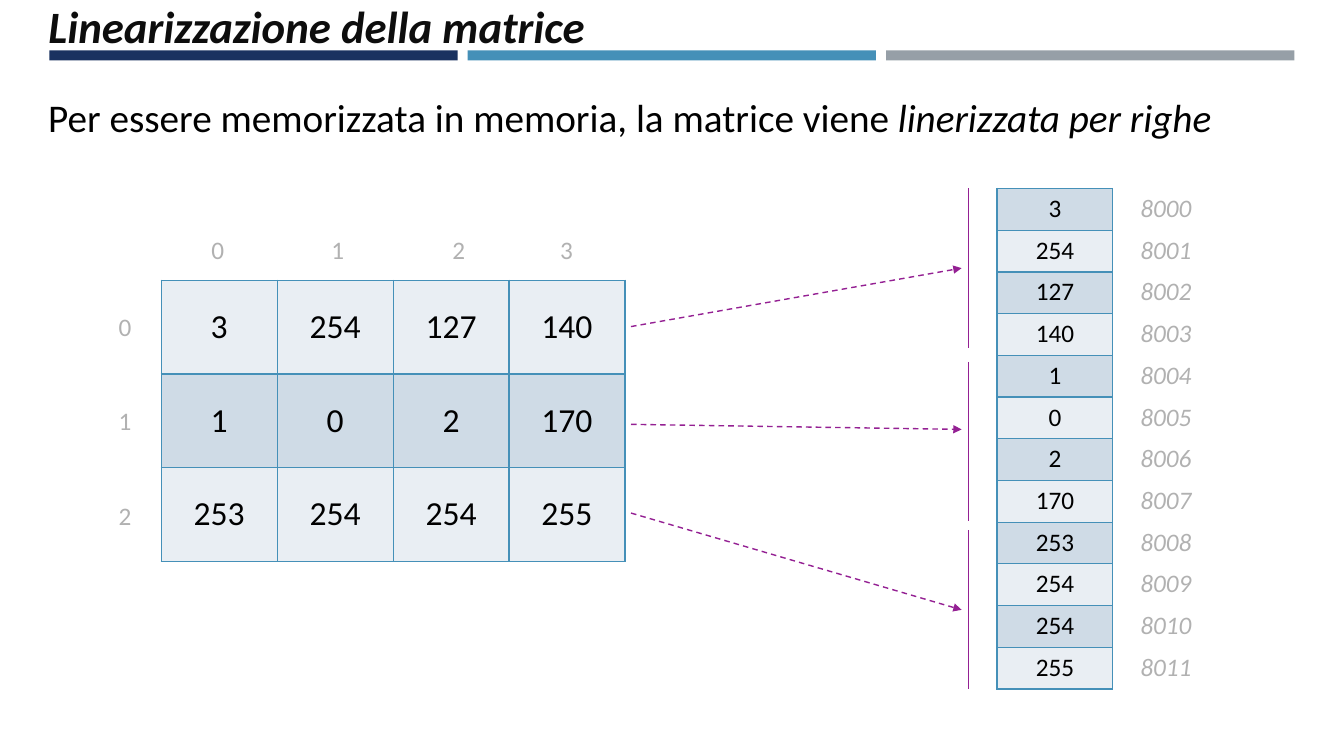
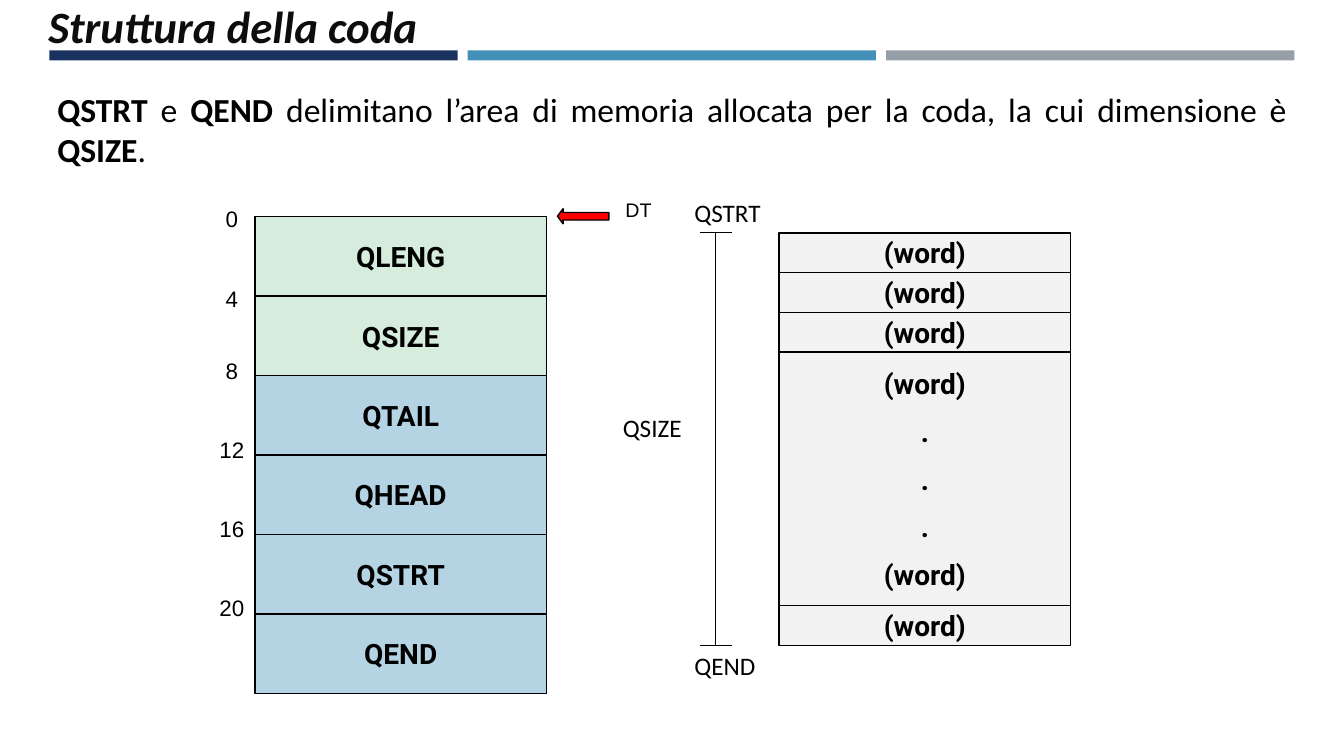
import lxml.etree
import pptx
import pptx.dml.color
import pptx.enum.dml
import pptx.enum.shapes
import pptx.enum.text
import pptx.oxml.ns
import pptx.util

Pt = pptx.util.Pt
RGB = pptx.dml.color.RGBColor
SHAPE = pptx.enum.shapes.MSO_SHAPE
ALIGN = pptx.enum.text.PP_ALIGN
ANCHOR = pptx.enum.text.MSO_ANCHOR
DASH = pptx.enum.dml.MSO_LINE.DASH
qn = pptx.oxml.ns.qn

# Palette
BLACK = RGB(0x00, 0x00, 0x00)
INK = RGB(0x0D, 0x0D, 0x0D)
GRAY = RGB(0xB1, 0xB1, 0xB1)
NAVY = RGB(0x1A, 0x32, 0x60)
BLUE = RGB(0x45, 0x90, 0xB8)
SLATE = RGB(0x96, 0x9F, 0xA7)
PALE = RGB(0xE9, 0xEE, 0xF3)
MIST = RGB(0xCF, 0xDB, 0xE6)
PURPLE = RGB(0x94, 0x20, 0x93)
GREEN = RGB(0xD6, 0xED, 0xDE)
SKY = RGB(0xB4, 0xD3, 0xE3)
LIGHT = RGB(0xF2, 0xF2, 0xF2)
RED = RGB(0xFF, 0x00, 0x00)

# Grid: square cells, 75 rows on the slide's height
ROWS, COLS = 75, 133.33
CELL = pptx.util.Inches(7.5) / ROWS

# Text styles
TITLE = dict(name="Calibri", size=Pt(32), bold=True, italic=True)
LEAD = dict(name="Calibri", size=Pt(28))
BODY = dict(name="Calibri", size=Pt(24))
LABEL = dict(name="Calibri", size=Pt(18))
OFFSET = dict(name="Arial", size=Pt(16))
POINTER = dict(name="Arial", size=Pt(14))
FIELD = dict(name="Roboto", size=Pt(20), bold=True)


def grid(*cells):
    return [round(n * CELL) for n in cells]


def assign(obj, values):
    for name, value in values.items():
        setattr(obj, name, value)


class Deck:
    def __init__(self):
        self.prs = pptx.Presentation()
        self.prs.slide_width, self.prs.slide_height = grid(COLS, ROWS)
        self.s = None

    def slide(self, title):
        """Start a slide with the three bands and the title."""
        self.s = self.prs.slides.add_slide(self.prs.slide_layouts[5])
        for i, color in enumerate((NAVY, BLUE, SLATE)):
            self.shape((4.9 + 41.5 * i, 5, 40.5, 1), color, line=None)
        sp = self.s.shapes.title
        assign(sp, dict(zip(("left", "top", "width", "height"),
                            grid(3.8, -0.7, 77.2, 6.4))))
        self.set_text(sp.text_frame, [title], TITLE, INK,
                      anchor=ANCHOR.MIDDLE)

    def set_text(self, tf, paragraphs, style, color=BLACK, align=ALIGN.LEFT,
                 anchor=ANCHOR.TOP, gap=0):
        """Fill a text frame; a paragraph is a string or (text, format) runs."""
        assign(tf, dict(word_wrap=True, vertical_anchor=anchor,
                        auto_size=pptx.enum.text.MSO_AUTO_SIZE.NONE))
        for i, runs in enumerate(paragraphs):
            p = tf.add_paragraph() if i else tf.paragraphs[0]
            p.alignment = align
            if i and gap:
                p.space_before = Pt(gap)
            for text, extra in [(runs, {})] if isinstance(runs, str) else runs:
                self.add_run(p, text, {**style, **extra}, color)

    def add_run(self, p, text, style, color):
        r = p.add_run()
        r.text = text
        assign(r.font, style)
        r.font.color.rgb = color

    def text(self, at, paragraphs, style, color=BLACK, align=ALIGN.LEFT):
        sp = self.s.shapes.add_textbox(*grid(*at))
        self.set_text(sp.text_frame, paragraphs, style, color, align)

    def shape(self, at, fill, line=BLACK, kind=SHAPE.RECTANGLE):
        sp = self.s.shapes.add_shape(kind, *grid(*at))
        sp.shadow.inherit = False
        sp.fill.solid()
        sp.fill.fore_color.rgb = fill
        if line is None:
            sp.line.fill.background()
        else:
            sp.line.color.rgb = line
            sp.line.width = Pt(1)
        return sp

    def field(self, at, fill, paragraphs):
        """A memory field: outlined box with bold centred text."""
        tf = self.shape(at, fill).text_frame
        assign(tf, dict(margin_top=0, margin_bottom=0))
        self.set_text(tf, paragraphs, FIELD, align=ALIGN.CENTER,
                      anchor=ANCHOR.MIDDLE, gap=10)

    def line(self, start, end, color, width=1.0, arrow=False):
        c = self.s.shapes.add_connector(
            pptx.enum.shapes.MSO_CONNECTOR.STRAIGHT, *grid(*start, *end))
        c.line.color.rgb = color
        c.line.width = Pt(width)
        if arrow:
            c.line.dash_style = DASH
            lxml.etree.SubElement(c._element.spPr.find(qn("a:ln")),
                                  qn("a:tailEnd"), type="triangle")
        lxml.etree.SubElement(c._element.spPr, qn("a:effectLst"))

    def border(self, cell, color):
        for side in "LRTB":
            ln = lxml.etree.SubElement(cell._tc.get_or_add_tcPr(),
                                       qn("a:ln" + side), w=str(int(Pt(1))))
            if color is None:
                lxml.etree.SubElement(ln, qn("a:noFill"))
            else:
                fill = lxml.etree.SubElement(ln, qn("a:solidFill"))
                lxml.etree.SubElement(fill, qn("a:srgbClr"), val=str(color))

    def table(self, origin, size, values, style, color=BLACK, fills=None,
              line=None, anchor=ANCHOR.TOP):
        """Table of equal cells; fills alternate by row."""
        rows, cols = len(values), len(values[0])
        width, height = size
        tb = self.s.shapes.add_table(
            rows, cols, *grid(*origin, cols * width, rows * height)).table
        assign(tb, dict(first_row=False, horz_banding=False))
        for i, row in enumerate(values):
            for j, value in enumerate(row):
                cell = tb.cell(i, j)
                self.border(cell, line)
                if fills:
                    cell.fill.solid()
                    cell.fill.fore_color.rgb = fills[i % len(fills)]
                else:
                    cell.fill.background()
                cell.vertical_anchor = anchor
                p = cell.text_frame.paragraphs[0]
                p.alignment = ALIGN.CENTER
                self.add_run(p, str(value), style, color)


def matrix_slide(deck):
    deck.slide("Linearizzazione della matrice")
    deck.text((3.8, 8.8, 124.7, 10.4), [[
        ("Per essere memorizzata in memoria, la matrice viene ", {}),
        ("linerizzata per righe", dict(italic=True))]], LEAD,
        align=ALIGN.JUSTIFY)

    # Matrix with its column and row indices
    matrix = [[3, 254, 127, 140], [1, 0, 2, 170], [253, 254, 254, 255]]
    deck.table((16, 27.8), (11.5, 9.3), matrix, BODY, fills=(PALE, MIST),
               line=BLUE, anchor=ANCHOR.MIDDLE)
    for i, x in enumerate((20, 31.9, 43.9, 54.6)):
        deck.text((x, 22.8, 4, 4), [str(i)], LABEL, GRAY)
    for i in range(len(matrix)):
        deck.text((10.8, 30.4 + 9.35 * i, 4, 4), [str(i)], LABEL, GRAY)

    # Linear memory with its addresses
    linear = [[value] for row in matrix for value in row]
    addresses = [[8000 + i] for i in range(len(linear))]
    cell = (11.5, 4.14)
    deck.table((98.9, 18.7), cell, linear, LABEL, fills=(MIST, PALE),
               line=BLUE)
    deck.table((109.9, 18.7), cell, addresses, {**LABEL, "italic": True},
               GRAY)

    # Each matrix row points to its stretch of memory
    for top, start, end in ((18.7, 32.4, 26.6), (35.9, 42.1, 42.6),
                            (52.6, 50.9, 60.5)):
        deck.line((96.1, top), (96.1, top + 15.8), PURPLE)
        deck.line((62.6, start), (95.4, end), PURPLE, arrow=True)


def queue_slide(deck):
    deck.slide("Struttura della coda")
    bold = dict(bold=True)
    deck.text((4.7, 8.3, 124, 14.5), [[
        ("QSTRT", bold), (" e ", {}), ("QEND", bold),
        (" delimitano l’area di memoria allocata per la coda, "
         "la cui dimensione è ", {}),
        ("QSIZE", bold), (".", {})]], BODY, align=ALIGN.JUSTIFY)

    # Queue descriptor with byte offsets
    fields = (("QLENG", GREEN, 19.9), ("QSIZE", GREEN, 27.8),
              ("QTAIL", SKY, 34.9), ("QHEAD", SKY, 42.8),
              ("QSTRT", SKY, 50.6), ("QEND", SKY, 58.5))
    for i, (name, fill, label_top) in enumerate(fields):
        deck.field((25.3, 21.5 + 7.88 * i, 28.9, 7.88), fill, [name])
        deck.text((20, label_top, 6, 3.7), [str(4 * i)], OFFSET,
                  align=ALIGN.CENTER)

    # Pointer to the descriptor
    sp = deck.shape((55.3, 20.7, 5.1, 1.5), RED, kind=SHAPE.RIGHT_ARROW)
    sp.rotation = 180
    sp.adjustments[1] = 0.37
    deck.text((60.8, 19.1, 5.1, 3.3), ["DT"], POINTER, align=ALIGN.CENTER)

    # Queue area
    word = "(word)"
    top, step = 23.1, 3.94
    for i in range(3):
        deck.field((77.3, top + step * i, 28.9, step), LIGHT, [word])
    deck.field((77.3, top + 3 * step, 28.9, 25.2), LIGHT,
               [word, ".", ".", ".", word])
    deck.field((77.3, 60.1, 28.9, step), LIGHT, [word])

    # Extent of the queue area
    bottom = 64
    deck.line((71, top), (71, bottom), BLACK, 0.75)
    for y in (top, bottom):
        deck.line((69.4, y), (72.6, y), BLACK, 0.75)
    for name, x, y in (("QSIZE", 60.8, 40.4), ("QSTRT", 67.9, 19.1),
                       ("QEND", 67.9, bottom)):
        deck.text((x, y, 11, 4), [name], LABEL)


def main():
    deck = Deck()
    matrix_slide(deck)
    queue_slide(deck)
    deck.prs.save("out.pptx")


if __name__ == "__main__":
    main()
